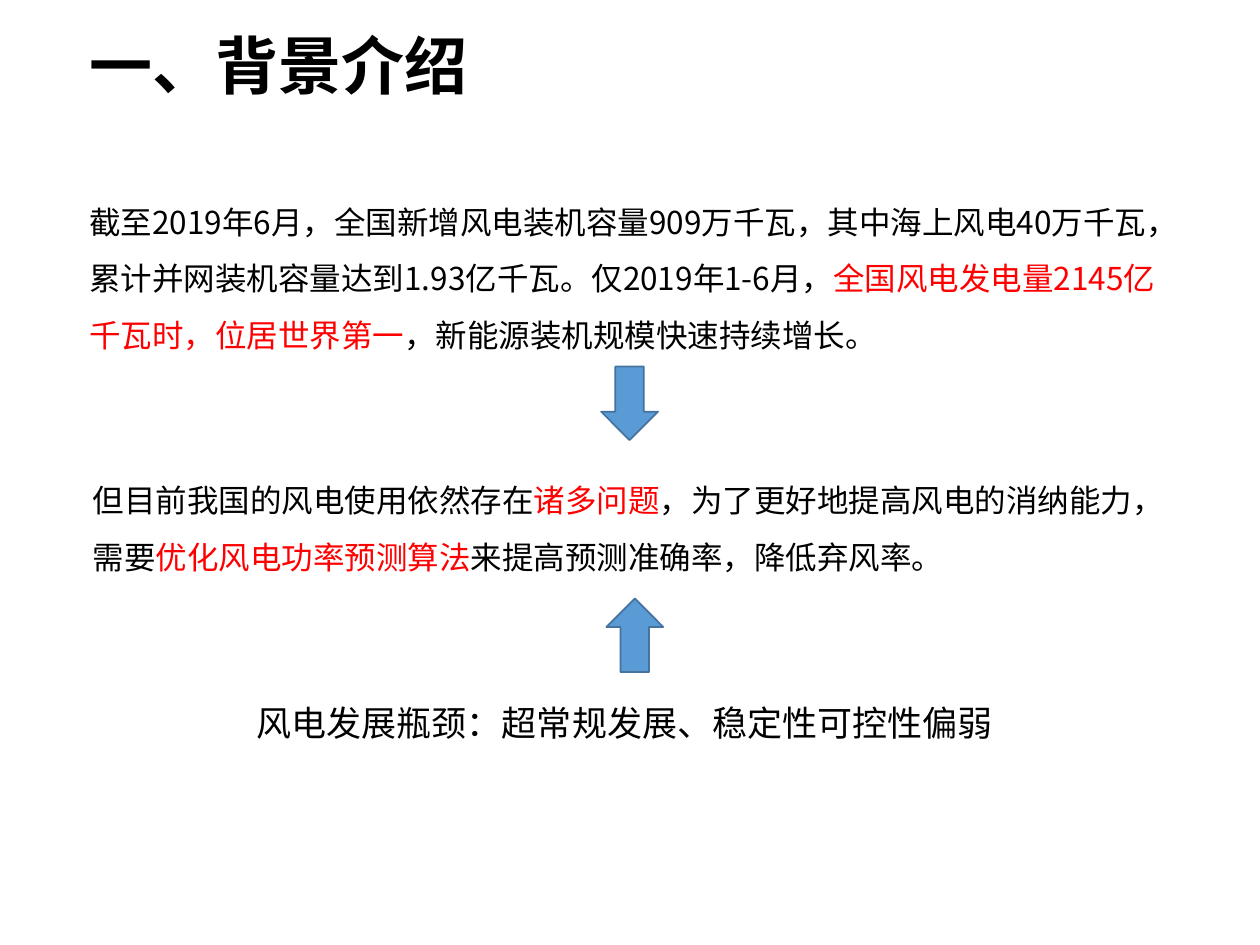
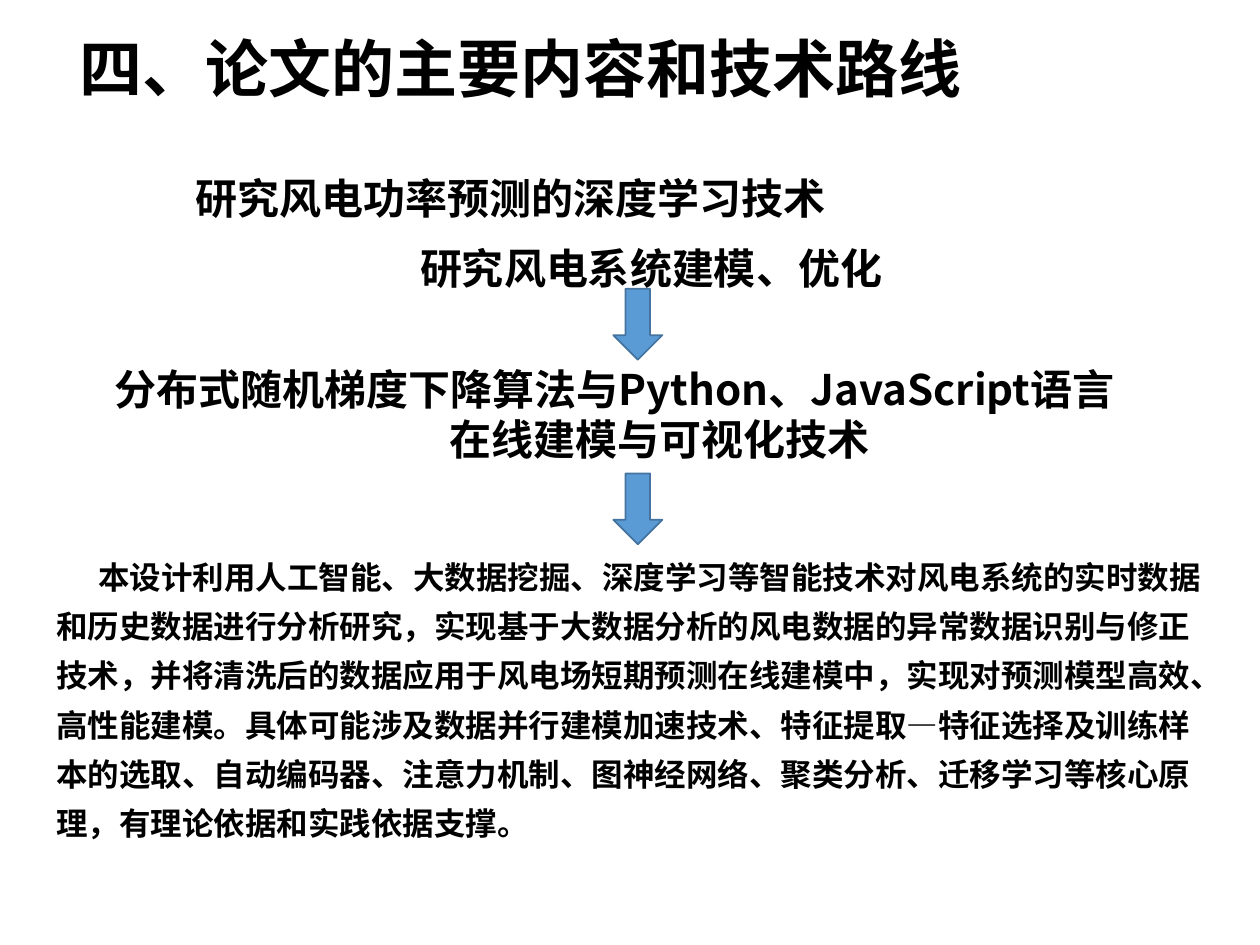
from dataclasses import dataclass

import pptx
import pptx.dml.color
import pptx.enum.shapes
import pptx.enum.text
import pptx.oxml
import pptx.oxml.ns
import pptx.presentation
import pptx.shapes.autoshape
import pptx.slide
import pptx.text.text
import pptx.util

Pt = pptx.util.Pt
RGB = pptx.dml.color.RGBColor
Align = pptx.enum.text.PP_ALIGN
Anchor = pptx.enum.text.MSO_ANCHOR
AutoSize = pptx.enum.text.MSO_AUTO_SIZE


@dataclass(frozen=True)
class Theme:
    font: str = "Noto Sans CJK SC"
    text: RGB = RGB(0x00, 0x00, 0x00)
    accent: RGB = RGB(0xFF, 0x00, 0x00)
    arrow_fill: RGB = RGB(0x5B, 0x9B, 0xD5)
    arrow_line: RGB = RGB(0x43, 0x73, 0x9E)
    title_size: float = 36
    heading_size: float = 24
    summary_size: float = 20
    body_size: float = 18


THEME = Theme()


@dataclass(frozen=True)
class Box:
    """A rectangle in points."""
    left: float
    top: float
    width: float
    height: float

    def lengths(self) -> tuple[pptx.util.Length, ...]:
        return Pt(self.left), Pt(self.top), Pt(self.width), Pt(self.height)


@dataclass(frozen=True)
class Span:
    text: str
    accent: bool = False


@dataclass(frozen=True)
class Para:
    spans: tuple[Span, ...]
    align: Align = Align.LEFT
    indent: float = 0


@dataclass(frozen=True)
class TextBlock:
    box: Box
    paras: tuple[Para, ...]
    size: float
    bold: bool = False
    line_spacing: float = 1.0


@dataclass(frozen=True)
class Arrow:
    box: Box
    rotation: float = 0


@dataclass(frozen=True)
class Page:
    title: str
    title_box: Box
    blocks: tuple[TextBlock, ...]
    arrows: tuple[Arrow, ...]


def heading(first: str, second: str) -> tuple[Para, ...]:
    """Two heading lines: the first flush left, the second centred."""
    return Para((Span(first),)), Para((Span(second),), Align.CENTER)


BACKGROUND = Page(
    "一、背景介绍",
    Box(44, 11.5, 577.5, 51),
    (
        TextBlock(Box(44, 101.5, 637, 105), (Para((
            Span("截至2019年6月，全国新增风电装机容量909万千瓦，其中海上风电40万千瓦，"
                 "累计并网装机容量达到1.93亿千瓦。仅2019年1-6月，"),
            Span("全国风电发电量2145亿千瓦时，位居世界第一", accent=True),
            Span("，新能源装机规模快速持续增长。"),
        )),), THEME.body_size, line_spacing=1.5),
        TextBlock(Box(46, 260.5, 628, 72.5), (Para((
            Span("但目前我国的风电使用依然存在"),
            Span("诸多问题", accent=True),
            Span("，为了更好地提高风电的消纳能力，需要"),
            Span("优化风电功率预测算法", accent=True),
            Span("来提高预测准确率，降低弃风率。"),
        )),), THEME.body_size, line_spacing=1.5),
        TextBlock(Box(39, 397.5, 636, 31.5), (Para((
            Span("风电发展瓶颈：超常规发展、稳定性可控性偏弱"),
        ), Align.CENTER),), THEME.summary_size),
    ),
    (Arrow(Box(343.5, 209.5, 32.5, 42)),
     Arrow(Box(346.5, 342, 32.5, 42), rotation=180)),
)

ROADMAP = Page(
    "四、论文的主要内容和技术路线",
    Box(38, 13, 577.5, 51),
    (
        TextBlock(Box(104.5, 83.5, 535, 88.5),
                  heading("研究风电功率预测的深度学习技术", "研究风电系统建模、优化"),
                  THEME.heading_size, bold=True, line_spacing=1.4),
        TextBlock(Box(58.5, 204, 636.5, 65.5),
                  heading("分布式随机梯度下降算法与Python、JavaScript语言",
                          "在线建模与可视化技术"),
                  THEME.heading_size, bold=True),
        TextBlock(Box(25, 309, 669.5, 177), (Para((
            Span("本设计利用人工智能、大数据挖掘、深度学习等智能技术对风电系统的实时数据"
                 "和历史数据进行分析研究，实现基于大数据分析的风电数据的异常数据识别与修正"
                 "技术，并将清洗后的数据应用于风电场短期预测在线建模中，实现对预测模型高效、"
                 "高性能建模。具体可能涉及数据并行建模加速技术、特征提取—特征选择及训练样"
                 "本的选取、自动编码器、注意力机制、图神经网络、聚类分析、迁移学习等核心原"
                 "理，有理论依据和实践依据支撑。"),
        ), indent=24),), THEME.body_size, bold=True, line_spacing=1.3),
    ),
    tuple(Arrow(Box(350.5, top, 28, 40.5)) for top in (165, 270.5)),
)


def add_run(p: pptx.text.text._Paragraph, span: Span, size: float, bold: bool) -> None:
    r = p.add_run()
    r.text = span.text
    r.font.name = THEME.font
    r.font.size = Pt(size)
    r.font.bold = bold
    r.font.color.rgb = THEME.accent if span.accent else THEME.text
    rPr = r.font._element
    rPr.set("lang", "zh-CN")
    ea = pptx.oxml.parse_xml(
        f'<a:ea {pptx.oxml.ns.nsdecls("a")} typeface="{THEME.font}"/>')
    rPr.find(pptx.oxml.ns.qn("a:latin")).addnext(ea)


def set_title(s: pptx.slide.Slide, text: str, box: Box) -> None:
    sp = s.shapes.title
    sp.left, sp.top, sp.width, sp.height = box.lengths()
    tf = sp.text_frame
    tf.auto_size = AutoSize.NONE
    tf.vertical_anchor = Anchor.BOTTOM
    p = tf.paragraphs[0]
    p.alignment = Align.LEFT
    p.line_spacing = 0.9
    add_run(p, Span(text), THEME.title_size, bold=True)


def add_text(s: pptx.slide.Slide, block: TextBlock) -> None:
    tf = s.shapes.add_textbox(*block.box.lengths()).text_frame
    tf.word_wrap = True
    tf.auto_size = AutoSize.SHAPE_TO_FIT_TEXT
    for i, para in enumerate(block.paras):
        p = tf.add_paragraph() if i else tf.paragraphs[0]
        p.alignment = para.align
        p.line_spacing = block.line_spacing
        if para.indent:
            p._p.get_or_add_pPr().set("indent", str(Pt(para.indent)))
        for span in para.spans:
            add_run(p, span, block.size, block.bold)


def add_arrow(s: pptx.slide.Slide, arrow: Arrow) -> None:
    sp = s.shapes.add_shape(
        pptx.enum.shapes.MSO_SHAPE.DOWN_ARROW, *arrow.box.lengths())
    sp.rotation = arrow.rotation
    sp.shadow.inherit = False
    sp.fill.solid()
    sp.fill.fore_color.rgb = THEME.arrow_fill
    sp.line.color.rgb = THEME.arrow_line
    sp.line.width = Pt(1)


def add_page(prs: pptx.presentation.Presentation, page: Page) -> None:
    s = prs.slides.add_slide(prs.slide_layouts.get_by_name("Title Only"))
    set_title(s, page.title, page.title_box)
    for block in page.blocks:
        add_text(s, block)
    for arrow in page.arrows:
        add_arrow(s, arrow)


def main() -> None:
    prs = pptx.Presentation()
    prs.slide_width, prs.slide_height = Pt(720), Pt(540)
    for page in (BACKGROUND, ROADMAP):
        add_page(prs, page)
    prs.save("out.pptx")


if __name__ == "__main__":
    main()
